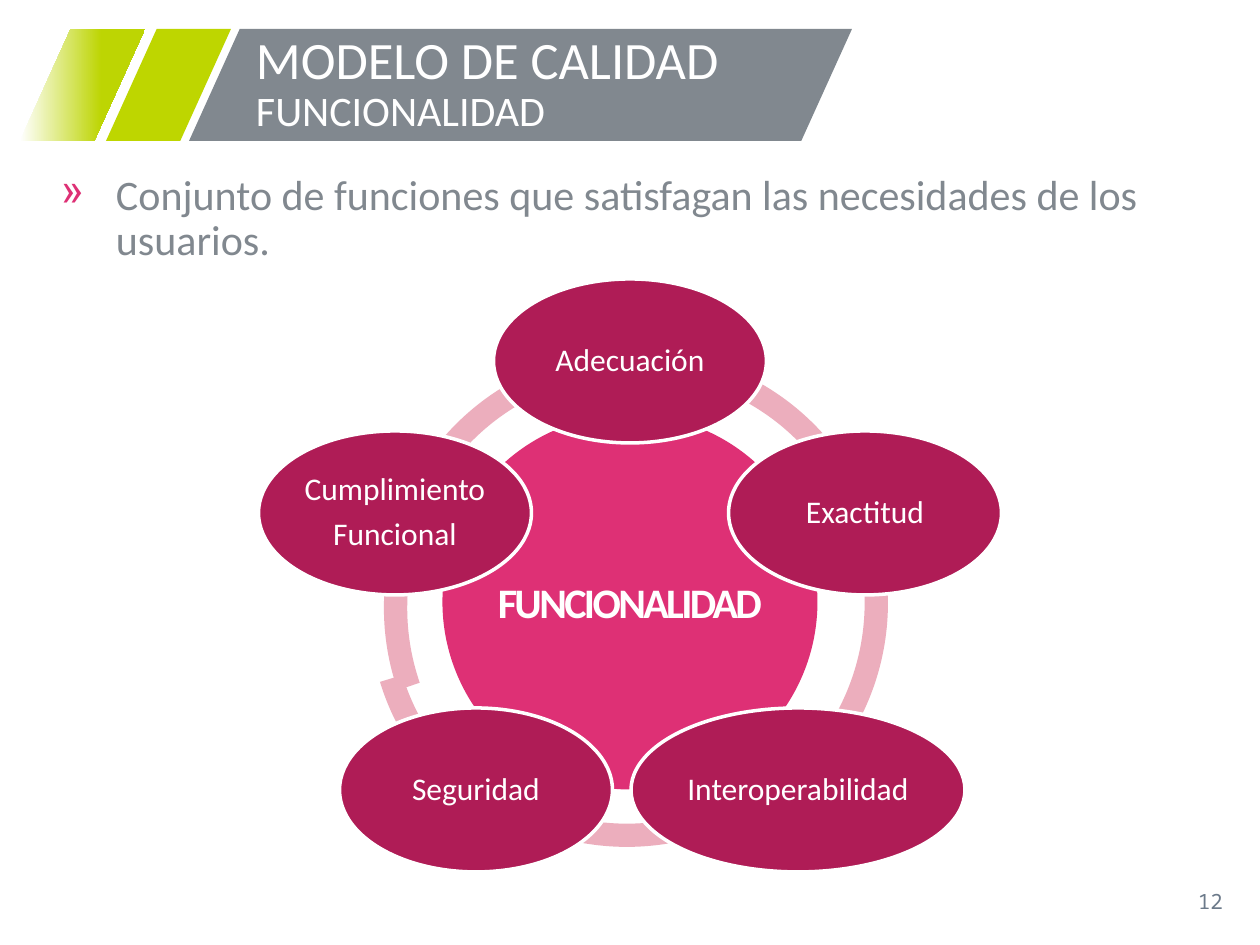
from lxml import etree
from pptx import Presentation
from pptx.dml.color import RGBColor
from pptx.enum.shapes import MSO_SHAPE
from pptx.enum.text import MSO_ANCHOR, PP_ALIGN
from pptx.oxml.ns import qn
from pptx.util import Pt

SLANT, ARC, OVAL = MSO_SHAPE.PARALLELOGRAM, MSO_SHAPE.BLOCK_ARC, MSO_SHAPE.OVAL
TOP, MIDDLE = MSO_ANCHOR.TOP, MSO_ANCHOR.MIDDLE
LEFT, CENTER, RIGHT = PP_ALIGN.LEFT, PP_ALIGN.CENTER, PP_ALIGN.RIGHT
COLORS = {"lime": "BED600", "fade": "BDD503", "gray": "81888F", "number": "6C7A8A",
          "pink": "DE3075", "ring": "ECAEBD", "wine": "AF1C56", "white": "FFFFFF"}

TITLE = [("MODELO DE CALIDAD", 30), ("FUNCIONALIDAD", 24)]
BODY = "Conjunto de funciones que satisfagan las necesidades de los usuarios."
PAGE_NUMBER = "12"
BANDS = [(106, 125, "lime"), (20, 125, "fade"), (189, 663, "gray")]
BAND_TOP, BAND_HEIGHT, BAND_SLANT = 29, 112, 0.453
HUB, HUB_CENTER, HUB_SIZE = "FUNCIONALIDAD", (630, 602), 375
ARCS = [(369, 355, 121.68, 163), (374, 341, 76.83, 119.58), (384, 349, 29.57, 78.43),
        (382, 350, 203.08, 29.21), (384, 355, 161, 202.32)]
ARC_SIZE, ARC_THICKNESS = 506, 0.046
NODES = [(["Adecuación"], 630, 361, 273), (["Exactitud"], 865, 513, 273),
         (["Interoperabilidad"], 798, 790, 334), (["Seguridad"], 476, 790, 273),
         (["Cumplimiento", "Funcional"], 395, 513, 273)]
NODE_HEIGHT = 164


def px(value):
    return round(value * 914400 / 126)


def rgb(name):
    return RGBColor.from_string(COLORS[name])


def style(target, **values):
    for name, value in values.items():
        setattr(target, name, value)


def add_shape(parent, kind, left, top, width, height, color):
    shape = parent.shapes.add_shape(kind, px(left), px(top), px(width), px(height))
    shape.shadow.inherit = False
    shape.fill.solid()
    shape.fill.fore_color.rgb = rgb(color)
    shape.line.fill.background()
    return shape


def set_frame(shape, anchor, side=0, edge=0, wrap=True):
    frame = shape.text_frame
    style(frame, word_wrap=wrap, vertical_anchor=anchor, margin_left=px(side),
          margin_right=px(side), margin_top=px(edge), margin_bottom=px(edge))
    return frame


def add_box(page, left, top, width, height, anchor):
    box = page.shapes.add_textbox(px(left), px(top), px(width), px(height))
    return set_frame(box, anchor, 13, 6).paragraphs[0]


def add_span(para, text, size, color, font="Calibri", bold=False):
    span = para.add_run()
    span.text = text
    style(span.font, name=font, size=Pt(size), bold=bold)
    span.font.color.rgb = rgb(color)
    return span


def add_header(page):
    for left, width, color in BANDS:
        band = add_shape(page, SLANT, left, BAND_TOP, width, BAND_HEIGHT, color)
        band.adjustments[0] = BAND_SLANT
        if color == "fade":
            band.fill.gradient()
            band.fill.gradient_angle = 0
            for stop, (position, name) in zip(band.fill.gradient_stops, [(0, "white"), (0.65, color)]):
                stop.position = position
                stop.color.rgb = rgb(name)
    para = add_box(page, 243, BAND_TOP, 591, BAND_HEIGHT, MIDDLE)
    style(para, alignment=LEFT, line_spacing=0.9)
    for index, (text, size) in enumerate(TITLE):
        if index:
            para.add_line_break()
        add_span(para, text, size, "white")


def add_body(page):
    para = add_box(page, 40, 168, 1154, 142, TOP)
    style(para, alignment=LEFT, line_spacing=0.9)
    props = para._p.get_or_add_pPr()
    props.set("marL", str(px(63)))
    props.set("indent", str(px(-55)))
    bullet_color = etree.SubElement(props, qn("a:buClr"))
    etree.SubElement(bullet_color, qn("a:srgbClr"), val=COLORS["pink"])
    etree.SubElement(props, qn("a:buChar"), char="»")
    add_span(para, BODY, 24, "gray")


def add_diagram(page):
    group = page.shapes.add_group_shape()
    for left, top, start, end in ARCS:
        arc = add_shape(group, ARC, left, top, ARC_SIZE, ARC_SIZE, "ring")
        for index, value in enumerate((start * 0.6, end * 0.6, ARC_THICKNESS)):
            arc.adjustments[index] = value

    left, top = (middle - HUB_SIZE / 2 for middle in HUB_CENTER)
    hub = add_shape(group, OVAL, left, top, HUB_SIZE, HUB_SIZE, "pink")
    para = set_frame(hub, MIDDLE, wrap=False).paragraphs[0]
    para.alignment = CENTER
    span = add_span(para, HUB, 24, "white", bold=True)
    span.font._element.set("spc", "-150")

    for lines, x, y, width in NODES:
        node = add_shape(group, OVAL, x - width / 2, y - NODE_HEIGHT / 2, width, NODE_HEIGHT, "wine")
        node.line.color.rgb = rgb("white")
        node.line.width = Pt(2)
        frame = set_frame(node, MIDDLE)
        for index, text in enumerate(lines):
            para = frame.add_paragraph() if index else frame.paragraphs[0]
            style(para, alignment=CENTER, line_spacing=0.9, space_after=Pt(6.3))
            add_span(para, text, 18, "white")


def main():
    deck = Presentation()
    style(deck, slide_width=px(1260), slide_height=px(945))
    page = deck.slides.add_slide(deck.slide_layouts[6])
    add_header(page)
    add_body(page)
    add_diagram(page)
    para = add_box(page, 953, 876, 283, 50, MIDDLE)
    para.alignment = RIGHT
    add_span(para, PAGE_NUMBER, 12, "number", "Noto Sans Mono")
    deck.save("out.pptx")


if __name__ == "__main__":
    main()
